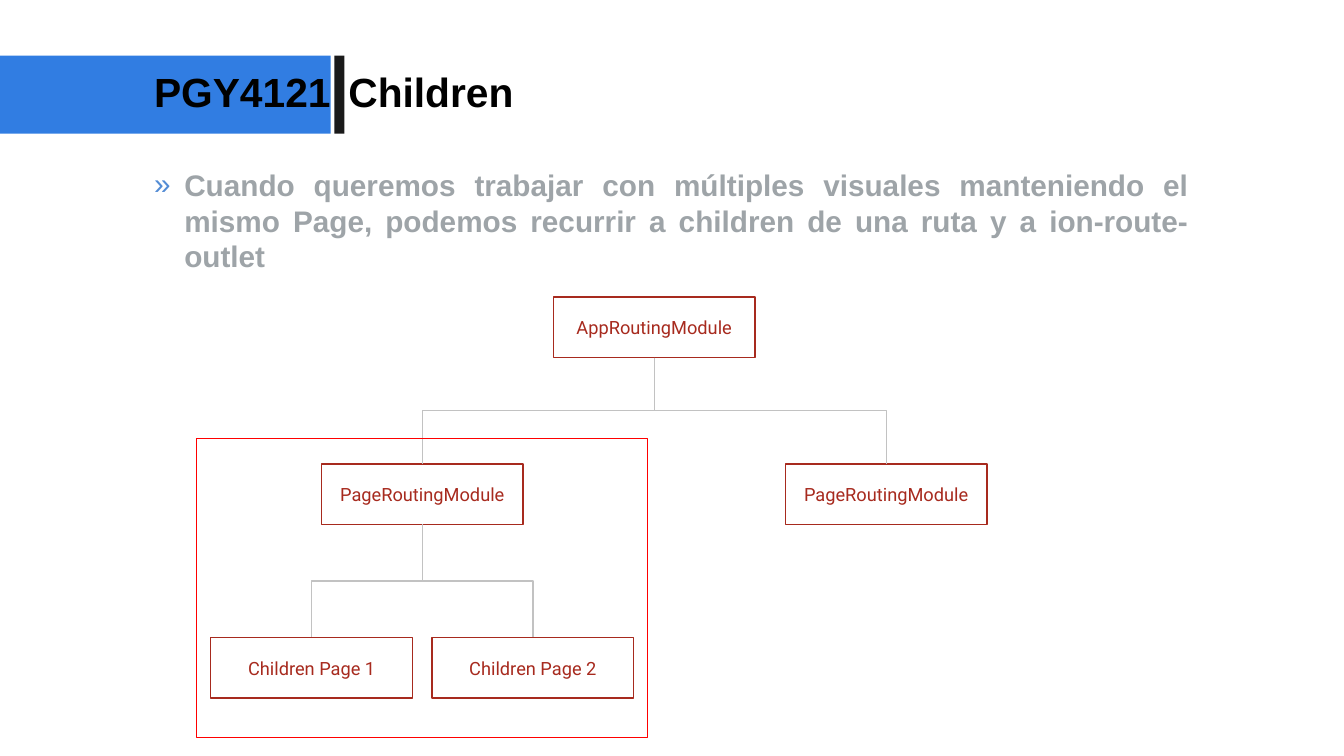
from dataclasses import dataclass

from lxml.etree import SubElement
from pptx import Presentation
from pptx.dml.color import RGBColor
from pptx.enum.shapes import MSO_CONNECTOR, MSO_SHAPE
from pptx.enum.text import MSO_ANCHOR, MSO_AUTO_SIZE, PP_ALIGN
from pptx.oxml.ns import qn
from pptx.shapes.autoshape import Shape
from pptx.shapes.shapetree import SlideShapes
from pptx.text.text import _Paragraph as Paragraph
from pptx.util import Pt

COLORS = {
    "band": "317DE2",
    "divider": "1A1A1A",
    "title": "000000",
    "body": "9EA4A8",
    "bullet": "538CD5",
    "module": "A72A1E",
    "link": "C2C2C2",
    "frame": "FF0000",
}
MODULE_WIDTH, MODULE_HEIGHT = 237.6, 71.3
LEVEL_TOPS = (350, 546.5, 751)
LEVEL_SPREADS = (273.25, 130.3)
LINE_WIDTH = 1.5


@dataclass(frozen=True)
class Area:
    left: float
    top: float
    width: float
    height: float


@dataclass(frozen=True)
class Module:
    label: str
    children: tuple["Module", ...] = ()


ROUTES = Module("AppRoutingModule", (
    Module("PageRoutingModule", (Module("Children Page 1"), Module("Children Page 2"))),
    Module("PageRoutingModule"),
))
TITLES = {
    "PGY4121": Area(181.5, 79.2, 208.8, 58.3),
    "Children": Area(410.4, 79.2, 717.8, 58.3),
}
EXPLANATION = ("Cuando queremos trabajar con múltiples visuales manteniendo el mismo Page, "
               "podemos recurrir a children de una ruta y a ion-route-outlet")


def rgb(name: str) -> RGBColor:
    return RGBColor.from_string(COLORS[name])


def add_rectangle(shapes: SlideShapes, area: Area, fill: str = "", line: str = "") -> Shape:
    rectangle = shapes.add_shape(MSO_SHAPE.RECTANGLE, Pt(area.left), Pt(area.top),
                                 Pt(area.width), Pt(area.height))
    rectangle.shadow.inherit = False
    if fill:
        rectangle.fill.solid()
        rectangle.fill.fore_color.rgb = rgb(fill)
    else:
        rectangle.fill.background()
    if line:
        rectangle.line.color.rgb = rgb(line)
        rectangle.line.width = Pt(LINE_WIDTH)
    else:
        rectangle.line.fill.background()
    return rectangle


def set_font(paragraph: Paragraph, face: str, size: float, color: str, bold: bool) -> None:
    font = paragraph.font
    font.name, font.size, font.bold = face, Pt(size), bold
    font.color.rgb = rgb(color)


def add_text(shapes: SlideShapes, area: Area, text: str, inset_top: float = 0) -> Paragraph:
    box = shapes.add_textbox(Pt(area.left), Pt(area.top), Pt(area.width), Pt(area.height))
    frame = box.text_frame
    frame.word_wrap = True
    frame.auto_size = MSO_AUTO_SIZE.SHAPE_TO_FIT_TEXT
    frame.margin_left = frame.margin_right = frame.margin_bottom = 0
    frame.margin_top = Pt(inset_top)
    paragraph = frame.paragraphs[0]
    paragraph.text = text
    return paragraph


def add_bullet(paragraph: Paragraph, sign: str, indent: float) -> None:
    properties = paragraph._p.get_or_add_pPr()
    properties.set("marL", str(Pt(indent)))
    properties.set("indent", str(-Pt(indent)))
    color = SubElement(properties, qn("a:buClr"))
    SubElement(color, qn("a:srgbClr")).set("val", COLORS["bullet"])
    SubElement(properties, qn("a:buFont")).set("typeface", "Arial")
    SubElement(properties, qn("a:buChar")).set("char", sign)


def link(shapes: SlideShapes, parent: Shape, child: Shape) -> None:
    """Join two modules with an elbow that leaves downwards, turned by a quarter."""
    start_x, start_y = parent.left + parent.width // 2, parent.top + parent.height
    end_x, end_y = child.left + child.width // 2, child.top
    elbow = shapes.add_connector(MSO_CONNECTOR.ELBOW, start_x, start_y, end_x, end_y)
    elbow.begin_connect(parent, 2)
    elbow.end_connect(child, 0)
    elbow.line.color.rgb = rgb("link")
    elbow.line.width = Pt(LINE_WIDTH)
    properties = elbow._element.spPr
    SubElement(properties, qn("a:effectLst"))

    goes_right = end_x > start_x
    drop, reach = end_y - start_y, abs(end_x - start_x)
    elbow.left = (start_x + end_x - drop) // 2
    elbow.top = (start_y + end_y - reach) // 2
    elbow.width, elbow.height = drop, reach
    transform = properties.find(qn("a:xfrm"))
    transform.set("rot", str((270 if goes_right else 90) * 60000))
    transform.set("flipH", "1" if goes_right else "0")


def add_module(shapes: SlideShapes, module: Module, center: float, level: int = 0) -> Shape:
    """Draw a module with everything below it."""
    box = add_rectangle(shapes, Area(center - MODULE_WIDTH / 2, LEVEL_TOPS[level],
                                     MODULE_WIDTH, MODULE_HEIGHT), line="module")
    frame = box.text_frame
    frame.vertical_anchor = MSO_ANCHOR.MIDDLE
    frame.margin_left = frame.margin_right = frame.margin_top = frame.margin_bottom = Pt(5)
    label = frame.paragraphs[0]
    label.text = module.label
    label.alignment = PP_ALIGN.CENTER
    set_font(label, "Roboto", 21.5, "module", bold=False)
    for side, child in zip((-1, 1), module.children):
        child_center = center + side * LEVEL_SPREADS[level]
        link(shapes, box, add_module(shapes, child, child_center, level + 1))
    return box


def main() -> None:
    deck = Presentation()
    deck.slide_width, deck.slide_height = Pt(1583.28), Pt(890.64)
    shapes = deck.slides.add_slide(deck.slide_layouts[6]).shapes

    add_rectangle(shapes, Area(0, 65.5, 389.5, 92), fill="band")
    add_rectangle(shapes, Area(393.8, 65.5, 12, 92), fill="divider")
    for title, area in TITLES.items():
        set_font(add_text(shapes, area, title), "Arial", 48, "title", bold=True)

    explanation = add_text(shapes, Area(181.5, 189.4, 1219.7, 134.6), EXPLANATION, inset_top=7.2)
    explanation.alignment = PP_ALIGN.JUSTIFY
    add_bullet(explanation, "»", 35.6)
    set_font(explanation, "Arial", 35, "body", bold=True)

    add_module(shapes, ROUTES, center=770.75)
    add_rectangle(shapes, Area(231.1, 517, 532.1, 352.1), line="frame")
    deck.save("out.pptx")


if __name__ == "__main__":
    main()
